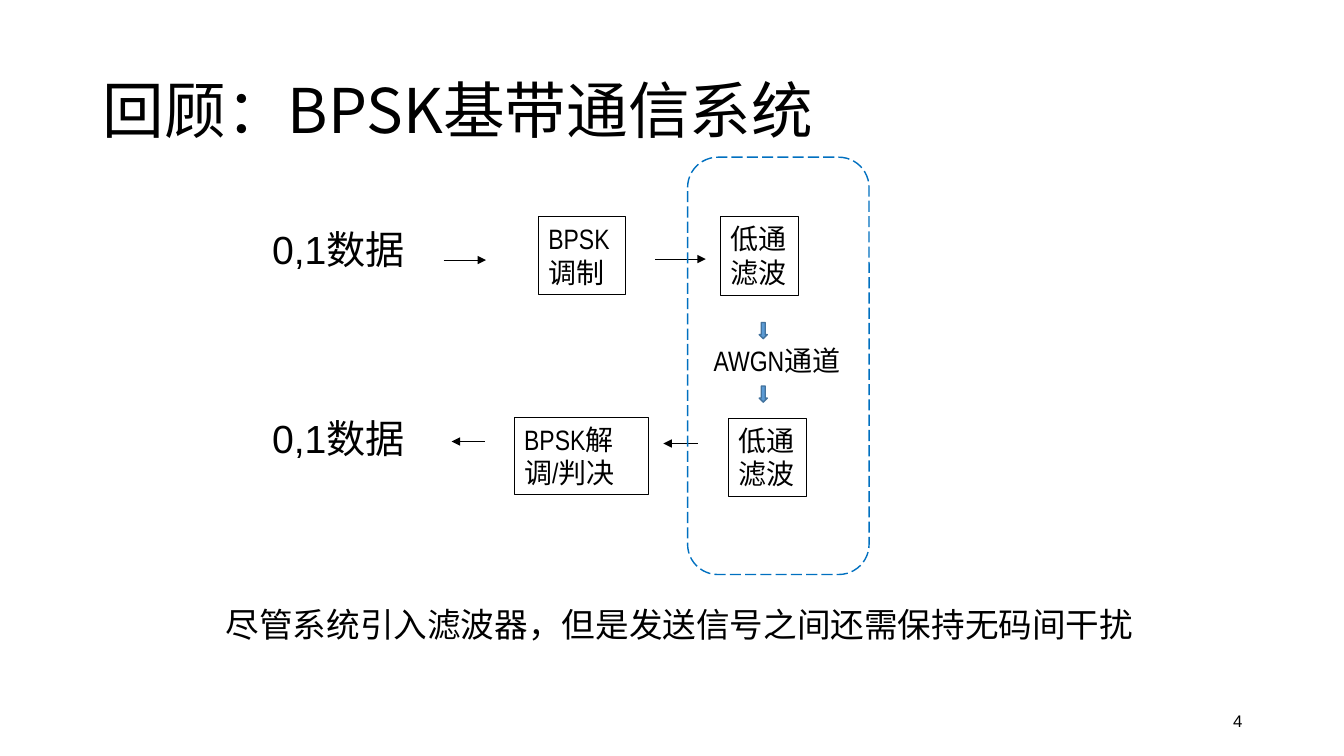
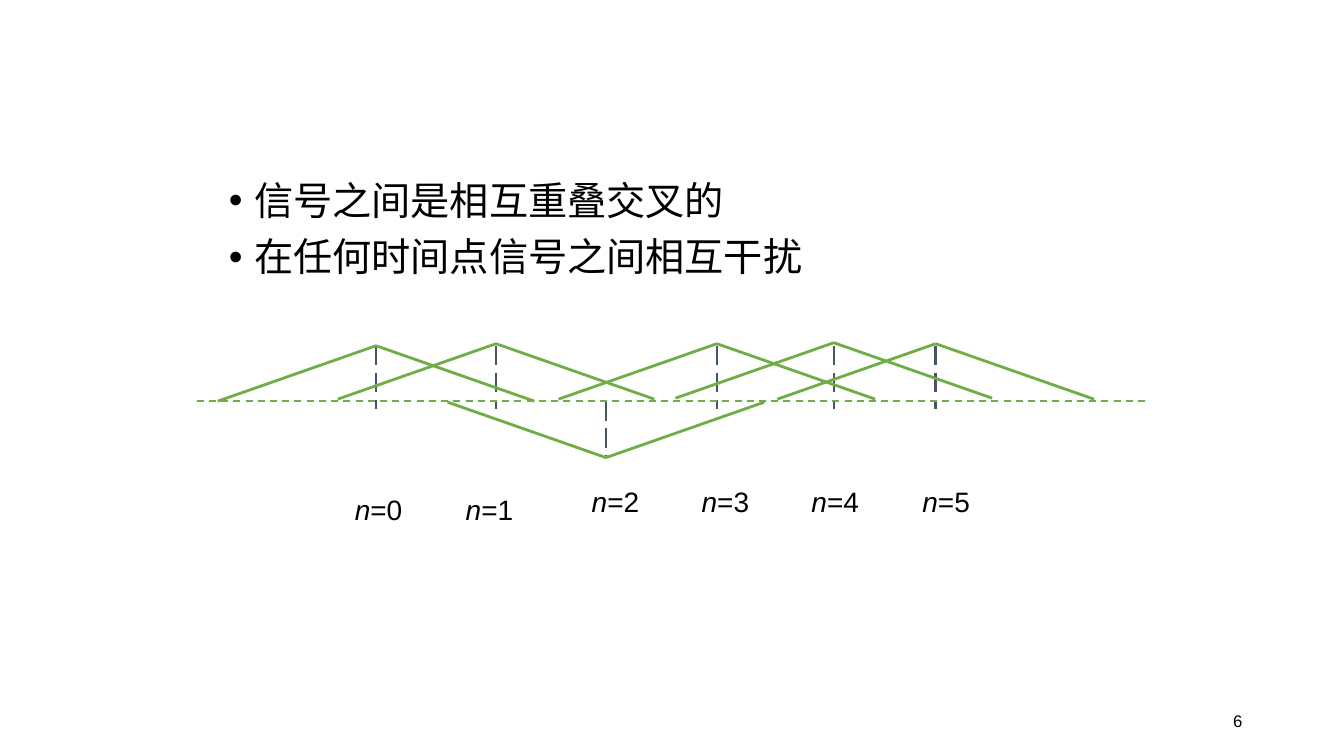
import pptx
import pptx.util
import pptx.dml.color
import pptx.enum.dml
import pptx.enum.shapes
import pptx.enum.text
import pptx.oxml.ns
import lxml.etree

RGB = pptx.dml.color.RGBColor
SHAPE = pptx.enum.shapes.MSO_SHAPE
DASH = pptx.enum.dml.MSO_LINE
ALIGN = pptx.enum.text.PP_ALIGN
ANCHOR = pptx.enum.text.MSO_ANCHOR
qn = pptx.oxml.ns.qn

# Shared style
EMU_PER_PX = 9144  # 100 px to the inch
BLACK = RGB(0x00, 0x00, 0x00)
CHANNEL_BLUE = RGB(0x00, 0x70, 0xC0)
ARROW_BLUE = RGB(0x5B, 0x9B, 0xD5)
ARROW_EDGE = RGB(0x43, 0x73, 0x9E)
STEM_SLATE = RGB(0x44, 0x54, 0x6A)
PULSE_GREEN = RGB(0x70, 0xAD, 0x47)
SANS, NARROW, CJK = "Arial", "Arial Narrow", "Noto Sans CJK SC"
PAGE_NUMBER_AREA = (942, 695, 300, 40)

# Slide 4: baseband system; areas are left, top, width, height
SYSTEM_TITLE = "回顾：BPSK基带通信系统"
TITLE_AREA = (92, 40, 1150, 145)
BLOCKS = [
    ("BPSK\n调制", (534, 215, 86, 77)),
    ("低通\n滤波", (715, 215, 77, 78)),
    ("低通\n滤波", (723, 415, 77, 78)),
    ("BPSK解调/判决", (510, 414, 133, 77)),
]
SYSTEM_TEXTS = [
    ("AWGN通道", (698, 336, 147, 44), NARROW, 20),
    ("0,1数据", (260, 219, 153, 57), SANS, 28),
    ("0,1数据", (260, 406, 153, 57), SANS, 28),
    ("尽管系统引入滤波器，但是发送信号之间还需保持无码间干扰",
     (214, 594, 929, 51), SANS, 24),
]
FLOWS = [  # start, end
    ((440, 258), (482, 258)),
    ((650, 257), (700, 257)),
    ((692, 440), (658, 440)),
    ((481, 438), (448, 438)),
]
CHANNEL_AREA = (682, 156, 180, 414)
CHANNEL_ARROW_TOPS = [320, 383]

# Slide 6: overlapping pulses
OVERLAP_POINTS = ["信号之间是相互重叠交叉的", "在任何时间点信号之间相互干扰"]
POINTS_AREA = (217, 175, 900, 147)
AXIS_Y = 398
HALF_WIDTH, HEIGHT = 157, 55
PULSES = [  # apex x, apex y, label left, label top
    (373, 343, 342, 484),
    (492, 341, 452, 484),
    (601, 454, 577, 476),
    (711, 341, 686, 476),
    (827, 340, 795, 476),
    (928, 341, 905, 476),
]


def emu(*lengths):
    return [pptx.util.Emu(length * EMU_PER_PX) for length in lengths]


def format_run(run, font, size, italic=None):
    run.font.size = pptx.util.Pt(size)
    run.font.color.rgb = BLACK
    run.font.italic = italic
    run.font.name = font
    east_asian = lxml.etree.SubElement(run._r.get_or_add_rPr(), qn("a:ea"))
    east_asian.set("typeface", CJK)


def set_text(frame, text, font, size, align=ALIGN.LEFT, anchor=ANCHOR.TOP):
    frame.text = text
    frame.word_wrap = True
    frame.vertical_anchor = anchor
    for paragraph in frame.paragraphs:
        paragraph.alignment = align
        for run in paragraph.runs:
            format_run(run, font, size)


def add_text(slide, text, area, font, size, **layout):
    box = slide.shapes.add_textbox(*emu(*area))
    set_text(box.text_frame, text, font, size, **layout)


def add_shape(slide, kind, area, line_color, width, fill=None):
    shape = slide.shapes.add_shape(kind, *emu(*area))
    shape.shadow.inherit = False
    if fill is None:
        shape.fill.background()
    else:
        shape.fill.solid()
        shape.fill.fore_color.rgb = fill
    shape.line.color.rgb = line_color
    shape.line.width = pptx.util.Pt(width)
    return shape


def add_line(slide, start, end, color, width, dash=None, arrow=False):
    line = slide.shapes.add_connector(
        pptx.enum.shapes.MSO_CONNECTOR.STRAIGHT, *emu(*start, *end))
    line.line.color.rgb = color
    line.line.width = pptx.util.Pt(width)
    if dash is not None:
        line.line.dash_style = dash
    if arrow:
        head = lxml.etree.SubElement(line.line._get_or_add_ln(), qn("a:tailEnd"))
        head.set("type", "triangle")
    lxml.etree.SubElement(line._element.spPr, qn("a:effectLst"))


def place(placeholder, area):
    (placeholder.left, placeholder.top,
     placeholder.width, placeholder.height) = emu(*area)
    placeholder.text_frame.auto_size = pptx.enum.text.MSO_AUTO_SIZE.NONE


def add_slide(deck, layout, number):
    slide = deck.slides.add_slide(deck.slide_layouts[layout])
    add_text(slide, str(number), PAGE_NUMBER_AREA, SANS, 12,
             align=ALIGN.RIGHT, anchor=ANCHOR.MIDDLE)
    return slide


def build_system(deck):
    slide = add_slide(deck, 5, 4)
    title = slide.shapes.title
    place(title, TITLE_AREA)
    set_text(title.text_frame, SYSTEM_TITLE, CJK, 44, anchor=ANCHOR.MIDDLE)
    title.text_frame.paragraphs[0].line_spacing = 0.9

    # Processing blocks, labels and signal flow
    for text, area in BLOCKS:
        block = add_shape(slide, SHAPE.RECTANGLE, area, BLACK, 0.75)
        set_text(block.text_frame, text, NARROW, 20)
    for text, area, font, size in SYSTEM_TEXTS:
        add_text(slide, text, area, font, size)
    for start, end in FLOWS:
        add_line(slide, start, end, BLACK, 0.75, arrow=True)

    # Channel outline and the arrows inside it
    channel = add_shape(slide, SHAPE.ROUNDED_RECTANGLE, CHANNEL_AREA,
                        CHANNEL_BLUE, 1)
    channel.line.dash_style = DASH.LONG_DASH
    for top in CHANNEL_ARROW_TOPS:
        add_shape(slide, SHAPE.DOWN_ARROW, (753, top, 8, 16),
                  ARROW_EDGE, 1, ARROW_BLUE)


def build_overlap(deck):
    slide = add_slide(deck, 1, 6)
    title = slide.shapes.title._element
    title.getparent().remove(title)

    # Bullet points
    points = slide.placeholders[1]
    place(points, POINTS_AREA)
    set_text(points.text_frame, "\n".join(OVERLAP_POINTS), CJK, 28)
    for paragraph in points.text_frame.paragraphs:
        paragraph.line_spacing = 0.9
        paragraph.space_before = pptx.util.Pt(10)
        properties = paragraph._p.get_or_add_pPr()
        properties.set("marL", str(25 * EMU_PER_PX))
        properties.set("indent", str(-25 * EMU_PER_PX))

    # Stems behind, then the time axis and the triangular pulses
    for x, y, *_ in PULSES:
        top, bottom = (343, 406) if y < AXIS_Y else (AXIS_Y, y)
        add_line(slide, (x, top), (x, bottom), STEM_SLATE, 1.75, DASH.LONG_DASH)
    add_line(slide, (195, AXIS_Y), (1138, AXIS_Y), PULSE_GREEN, 1.25, DASH.DASH)
    for n, (x, y, label_left, label_top) in enumerate(PULSES):
        foot_y = y + HEIGHT if y < AXIS_Y else y - HEIGHT
        for foot_x in (x - HALF_WIDTH, x + HALF_WIDTH):
            add_line(slide, (x, y), (foot_x, foot_y), PULSE_GREEN, 2)
        label = slide.shapes.add_textbox(*emu(label_left, label_top, 68, 44))
        label.text_frame.word_wrap = False
        for text, italic in (("n", True), (f"={n}", False)):
            run = label.text_frame.paragraphs[0].add_run()
            run.text = text
            format_run(run, SANS, 20, italic)


def main():
    deck = pptx.Presentation()
    deck.slide_width, deck.slide_height = emu(1333, 750)
    build_system(deck)
    build_overlap(deck)
    deck.save("out.pptx")


if __name__ == "__main__":
    main()
